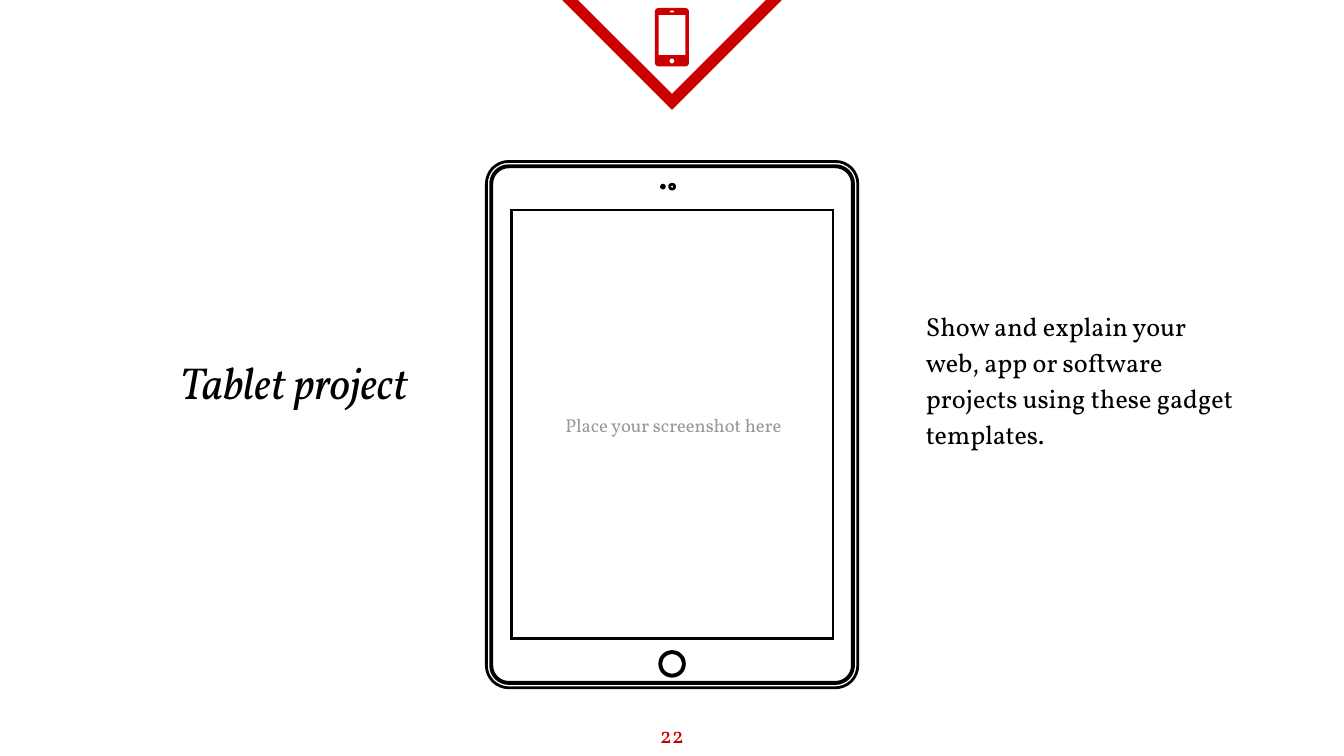
from math import cos, pi, sin

from lxml.etree import SubElement
from pptx import Presentation
from pptx.dml.color import RGBColor
from pptx.enum.shapes import MSO_SHAPE as Kind
from pptx.enum.text import MSO_ANCHOR as Anchor, PP_ALIGN as Align
from pptx.oxml.ns import qn
from pptx.util import Pt

RED, BLACK, WHITE, GRAY = "CC0000", "000000", "FFFFFF", "999999"


def paint(form, color):
    """Set a fill or font colour from a hex string."""
    form.rgb = RGBColor.from_string(color)


def style(shape, fill=None, line=None, width=1.5):
    """Set the fill and the sharp-cornered line of a shape."""
    shape.shadow.inherit = False
    if fill:
        shape.fill.solid()
        paint(shape.fill.fore_color, fill)
    else:
        shape.fill.background()
    if line:
        paint(shape.line.color, line)
        shape.line.width = Pt(width)
        edge = shape.line._get_or_add_ln()
        SubElement(edge, qn("a:miter"), lim="800000")
    else:
        shape.line.fill.background()


def ring(box, radius=0, steps=8):
    """List the points of a rectangle with round corners."""
    left, top, wide, high = box
    if not radius:
        return [(left, top), (left + wide, top),
                (left + wide, top + high), (left, top + high)]
    points = []
    for turn in range(4):
        x = left + wide - radius if turn in (0, 3) else left + radius
        y = top + high - radius if turn < 2 else top + radius
        for step in range(steps + 1):
            angle = (turn + step / steps) * pi / 2
            points.append((x + radius * cos(angle), y + radius * sin(angle)))
    return points


def disc(x, y, radius):
    """List the points of a circle around a centre."""
    return ring((x - radius, y - radius, 2 * radius, 2 * radius), radius)


def trace(slide, rings, **look):
    """Join closed outlines into one freeform, where inner ones are holes."""
    rings = [[(x * 100, y * 100) for x, y in points] for points in rings]
    pen = slide.shapes.build_freeform(*rings[0][0], scale=Pt(1) / 100)
    pen.add_line_segments(rings[0][1:], close=True)
    for points in rings[1:]:
        pen.move_to(*points[0])
        pen.add_line_segments(points[1:], close=True)
    style(pen.convert_to_shape(), **look)


def write(slide, text, box, size=12, color=BLACK, align=Align.LEFT,
          anchor=Anchor.MIDDLE, italic=False, space=1):
    """Add a text box with one paragraph."""
    frame = slide.shapes.add_textbox(*map(Pt, box)).text_frame
    frame.word_wrap = True
    frame.vertical_anchor = anchor
    frame.margin_left = frame.margin_right = Pt(7.2)
    frame.margin_top = frame.margin_bottom = Pt(7.2)
    para = frame.paragraphs[0]
    para.alignment, para.line_spacing = align, space
    run = para.add_run()
    run.text = text
    run.font.name, run.font.size, run.font.italic = "Vollkorn", Pt(size), italic
    paint(run.font.color, color)


def badge(slide, box):
    """Draw the pointed frame with the phone icon."""
    left, top, wide, high = box
    arrow = slide.shapes.add_shape(Kind.ISOSCELES_TRIANGLE, *map(Pt, box))
    style(arrow, line=RED, width=6)
    arrow.rotation = 180
    mid, top = left + wide / 2, top + 8.7
    trace(slide, [
        ring((mid - 9.1, top, 18.2, 31.3), 2),
        ring((mid - 7.2, top + 3.7, 14.4, 21.6)),
        ring((mid - 1.2, top + 1.5, 2.4, 0.8), 0.4),
        disc(mid, top + 28.4, 1.3),
    ], fill=RED)


def tablet(slide, box):
    """Draw the tablet with its screen, cameras and home button."""
    left, top, wide, high = box
    mid = left + wide / 2
    rings = [ring((left + gap, top + gap, wide - 2 * gap, high - 2 * gap), 12 - gap)
             for gap in (0, 2.3, 2.9)]
    rings.append(ring((left + 13.3, top + 26, wide - 26.6, high - 52.2)))
    rings += [disc(mid + x, top + y, radius) for x, y, radius in (
        (-4.9, 13.5, 0.7), (0, 13.5, 1.3),
        (0, high - 12.8, 6.6), (0, high - 12.8, 6))]
    trace(slide, rings, fill=WHITE, line=BLACK)
    write(slide, "Place your screenshot here",
          (left + 13.8, top + 26, wide - 26.4, high - 51.2),
          size=10, color=GRAY, align=Align.CENTER)


def main():
    """Build and save the slide."""
    deck = Presentation()
    deck.slide_width, deck.slide_height = Pt(720), Pt(405)
    slide = deck.slides.add_slide(deck.slide_layouts[6])
    badge(slide, (301, -4.4, 118, 59))
    tablet(slide, (260.6, 86.5, 199, 282))
    write(slide, "Tablet project", (50.4, 161.6, 175, 81.4), size=24,
          align=Align.RIGHT, italic=True, space=1.15)
    write(slide, "Show and explain your web, app or software projects using "
          "these gadget templates.", (488.9, 140.4, 181.4, 123.8), size=14, space=1.15)
    write(slide, "22", (0, 379.1, 720, 25.9), color=RED, align=Align.CENTER,
          anchor=Anchor.TOP)
    deck.save("out.pptx")


if __name__ == "__main__":
    main()
